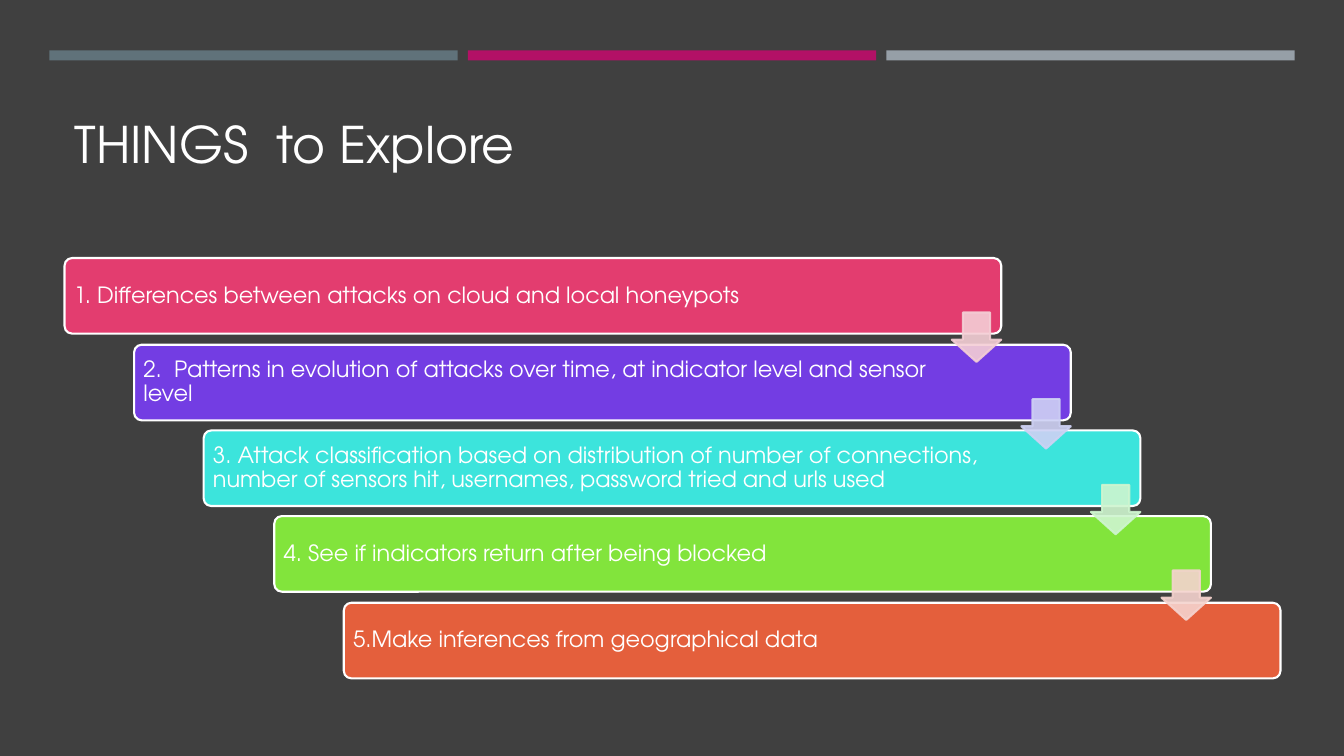
from pptx import Presentation
from pptx.dml.color import RGBColor
from pptx.enum.shapes import MSO_SHAPE
from pptx.enum.text import MSO_ANCHOR, MSO_AUTO_SIZE, PP_ALIGN
from pptx.oxml.ns import qn
from pptx.util import Pt
from lxml.etree import SubElement

EMU_PER_PX = 9144  # 100 px to the inch
FONT = "TeX Gyre Adventor"
WHITE = "FFFFFF"
BACKGROUND = "404040"
ACCENTS = ["60727A", "B31166", "969FA7"]
STEPS = [
    ("1. Differences between attacks on cloud and local honeypots", "E33D6F"),
    ("2.  Patterns in evolution of attacks over time, at indicator level "
     "and sensor level", "733DE3"),
    ("3. Attack classification based on distribution of number of connections, "
     "number of sensors hit, usernames, password tried and urls used", "3CE4DC"),
    ("4. See if indicators return after being blocked", "82E43C"),
    ("5.Make inferences from geographical data", "E45F3C"),
]
ARROW_COLORS = ["F4CED5", "CED1F4", "CEF5CF", "F5D3CE"]


def px(value):
    return round(value * EMU_PER_PX)


def color(hex_string):
    return RGBColor.from_string(hex_string)


def style_text(para, size):
    para.alignment = PP_ALIGN.LEFT
    para.font.name = FONT
    para.font.size = Pt(size)
    para.font.color.rgb = color(WHITE)


def add_block(page, kind, left, top, width, height, fill, line=None):
    block = page.shapes.add_shape(kind, px(left), px(top), px(width), px(height))
    block.shadow.inherit = False
    block.fill.solid()
    block.fill.fore_color.rgb = color(fill)
    if line:
        block.line.color.rgb = color(line)
        block.line.width = Pt(1.5)
    else:
        block.line.fill.background()
    return block


def add_title(page, text):
    title = page.shapes.title
    title.left, title.top, title.width, title.height = map(px, (64, 77, 1206, 130))
    frame = title.text_frame
    frame.text = text
    frame.auto_size = MSO_AUTO_SIZE.NONE
    frame.vertical_anchor = MSO_ANCHOR.MIDDLE
    style_text(frame.paragraphs[0], 36)


def add_step(page, left, top, text, fill):
    bar = add_block(page, MSO_SHAPE.ROUNDED_RECTANGLE, left, top, 929, 75, fill, WHITE)
    bar.adjustments[0] = 0.1
    frame = bar.text_frame
    frame.word_wrap = True
    frame.vertical_anchor = MSO_ANCHOR.MIDDLE
    frame.margin_left = frame.margin_top = frame.margin_bottom = px(7)
    frame.margin_right = px(126)  # keeps the text clear of the arrows
    frame.text = text
    para = frame.paragraphs[0]
    para.line_spacing = 0.9
    style_text(para, 16)


def add_arrow(page, left, top, fill):
    """Add a down arrow whose fill and line are 90% opaque."""
    arrow = add_block(page, MSO_SHAPE.DOWN_ARROW, left, top, 49, 49, fill, fill)
    arrow.adjustments[0] = 0.55
    arrow.adjustments[1] = 0.45
    for tint in arrow._element.spPr.iter(qn("a:srgbClr")):
        SubElement(tint, qn("a:alpha"), val="90000")


def main():
    deck = Presentation()
    deck.slide_width, deck.slide_height = px(1333), px(750)
    page = deck.slides.add_slide(deck.slide_layouts[5])
    page.background.fill.solid()
    page.background.fill.fore_color.rgb = color(BACKGROUND)

    add_title(page, "THINGS  to Explore")
    for index, accent in enumerate(ACCENTS):
        add_block(page, MSO_SHAPE.RECTANGLE, 49 + 415 * index, 50, 405, 10, accent)

    corners = [(round(64 + 69.25 * index), round(256 + 85.5 * index))
               for index in range(len(STEPS))]
    for (left, top), (text, fill) in zip(corners, STEPS):
        add_step(page, left, top, text, fill)
    for (left, top), fill in zip(corners, ARROW_COLORS):
        add_arrow(page, left + 880, top + 54, fill)

    deck.save("out.pptx")


if __name__ == "__main__":
    main()
